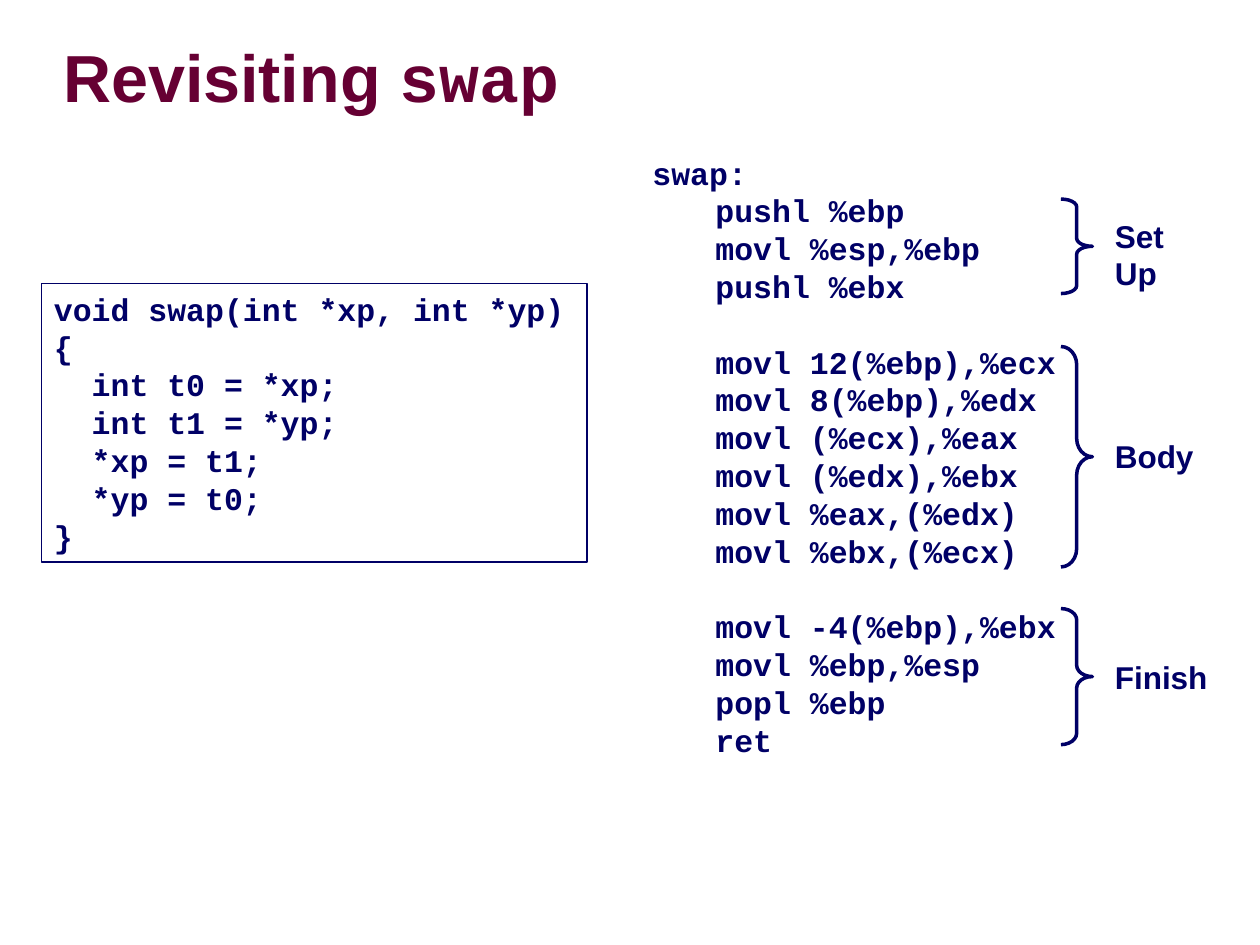
from dataclasses import dataclass

from lxml.etree import SubElement
from pptx import Presentation
from pptx.dml.color import RGBColor
from pptx.enum.shapes import MSO_SHAPE
from pptx.enum.text import MSO_ANCHOR, PP_ALIGN
from pptx.oxml.ns import qn
from pptx.util import Inches, Pt

NAVY = RGBColor(0x00, 0x00, 0x66)
MAROON = RGBColor(0x66, 0x00, 0x33)
SHADOW = RGBColor(0x96, 0x96, 0x96)
SANS, MONO = "Arial", "Courier New"
LINE_HEIGHT = Pt(21.6)
TAB_STOPS = (0.5, 1.62)

C_CODE = [
    "void swap(int *xp, int *yp)",
    "{",
    "  int t0 = *xp;",
    "  int t1 = *yp;",
    "  *xp = t1;",
    "  *yp = t0;",
    "}",
]


@dataclass
class Phase:
    """A group of instructions with its brace and label."""
    label: list[str]
    instructions: list[str]
    brace_top: float
    brace_height: float
    bend: float
    label_top: float
    label_width: float


PHASES = [
    Phase(["Set", "Up"], ["pushl %ebp", "movl %esp,%ebp", "pushl %ebx"],
          1.58, 0.75, 0.25, 1.67, 0.59),
    Phase(["Body"],
          ["movl 12(%ebp),%ecx", "movl 8(%ebp),%edx", "movl (%ecx),%eax",
           "movl (%edx),%ebx", "movl %eax,(%edx)", "movl %ebx,(%ecx)"],
          2.75, 1.75, 0.58, 3.42, 0.83),
    Phase(["Finish"],
          ["movl -4(%ebp),%ebx", "movl %ebp,%esp", "popl %ebp", "ret"],
          4.83, 1.08, 0.36, 5.17, 0.94),
]


def style_span(span, size: float, font: str, color: RGBColor) -> None:
    span.font.size = Pt(size)
    span.font.name = font
    span.font.bold = True
    span.font.color.rgb = color


def add_text_shadow(span) -> None:
    effects = SubElement(span.font._element, qn("a:effectLst"))
    shadow = SubElement(effects, qn("a:outerShdw"), dist="38100", dir="2700000")
    SubElement(shadow, qn("a:srgbClr"), val=str(SHADOW))
    # Effects come before the typeface in run properties
    latin = span.font._element.find(qn("a:latin"))
    latin.addprevious(effects)


def add_tab_stops(para) -> None:
    tabs = SubElement(para._p.get_or_add_pPr(), qn("a:tabLst"))
    for stop in TAB_STOPS:
        SubElement(tabs, qn("a:tab"), pos=str(Inches(stop)), algn="l")


def write_lines(frame, lines: list[str], font: str, gaps: tuple = ()) -> None:
    """Write one paragraph per line, with an empty line's space before each gap."""
    for index, line in enumerate(lines):
        para = frame.paragraphs[0] if index == 0 else frame.add_paragraph()
        if font == MONO:
            add_tab_stops(para)
        para.alignment = PP_ALIGN.LEFT
        para.line_spacing = LINE_HEIGHT
        if index in gaps:
            para.space_before = LINE_HEIGHT
        span = para.add_run()
        span.text = line
        style_span(span, 18, font, NAVY)


def add_outline(page, kind, left: float, top: float, width: float,
                height: float, weight: float):
    shape = page.shapes.add_shape(kind, Inches(left), Inches(top),
                                  Inches(width), Inches(height))
    shape.shadow.inherit = False
    shape.fill.background()
    shape.line.color.rgb = NAVY
    shape.line.width = Pt(weight)
    return shape


def add_text(page, left: float, top: float, width: float, height: float,
             wrap: bool):
    box = page.shapes.add_textbox(Inches(left), Inches(top),
                                  Inches(width), Inches(height))
    box.text_frame.word_wrap = wrap
    return box.text_frame


def add_title(page) -> None:
    title = page.shapes.title
    title.left, title.top = Inches(0.5), Inches(0.33)
    title.width, title.height = Inches(6.43), Inches(0.63)
    frame = title.text_frame
    frame.margin_left = frame.margin_right = 0
    frame.margin_top = frame.margin_bottom = 0
    frame.vertical_anchor = MSO_ANCHOR.MIDDLE
    para = frame.paragraphs[0]
    para.alignment = PP_ALIGN.LEFT
    para.line_spacing = 0.87
    for text, font in (("Revisiting ", SANS), ("swap", MONO)):
        span = para.add_run()
        span.text = text
        style_span(span, 38, font, MAROON)
        add_text_shadow(span)


def add_phase_mark(page, phase: Phase) -> None:
    brace = add_outline(page, MSO_SHAPE.RIGHT_BRACE, 8.42, phase.brace_top,
                        0.25, phase.brace_height, 2)
    brace.adjustments[0] = phase.bend
    brace.adjustments[1] = 0.5
    height = 0.1 + 0.3 * len(phase.label)
    frame = add_text(page, 8.75, phase.label_top, phase.label_width, height, False)
    write_lines(frame, phase.label, SANS)


def main() -> None:
    deck = Presentation()
    deck.slide_width, deck.slide_height = Inches(10), Inches(7.5)
    page = deck.slides.add_slide(deck.slide_layouts[5])
    add_title(page)

    # C source
    source = add_outline(page, MSO_SHAPE.RECTANGLE, 0.33, 2.25, 4.33, 2.21, 1)
    source.text_frame.vertical_anchor = MSO_ANCHOR.TOP
    source.text_frame.word_wrap = True
    write_lines(source.text_frame, C_CODE, MONO)

    # Assembly listing, one gap between phases
    lines, starts = ["swap:"], []
    for phase in PHASES:
        starts.append(len(lines))
        lines += ["\t" + instruction for instruction in phase.instructions]
    listing = add_text(page, 5.08, 1.17, 3.67, 4.9, True)
    write_lines(listing, lines, MONO, gaps=tuple(starts[1:]))

    # Braces and phase names
    for phase in PHASES:
        add_phase_mark(page, phase)

    deck.save("out.pptx")


if __name__ == "__main__":
    main()
